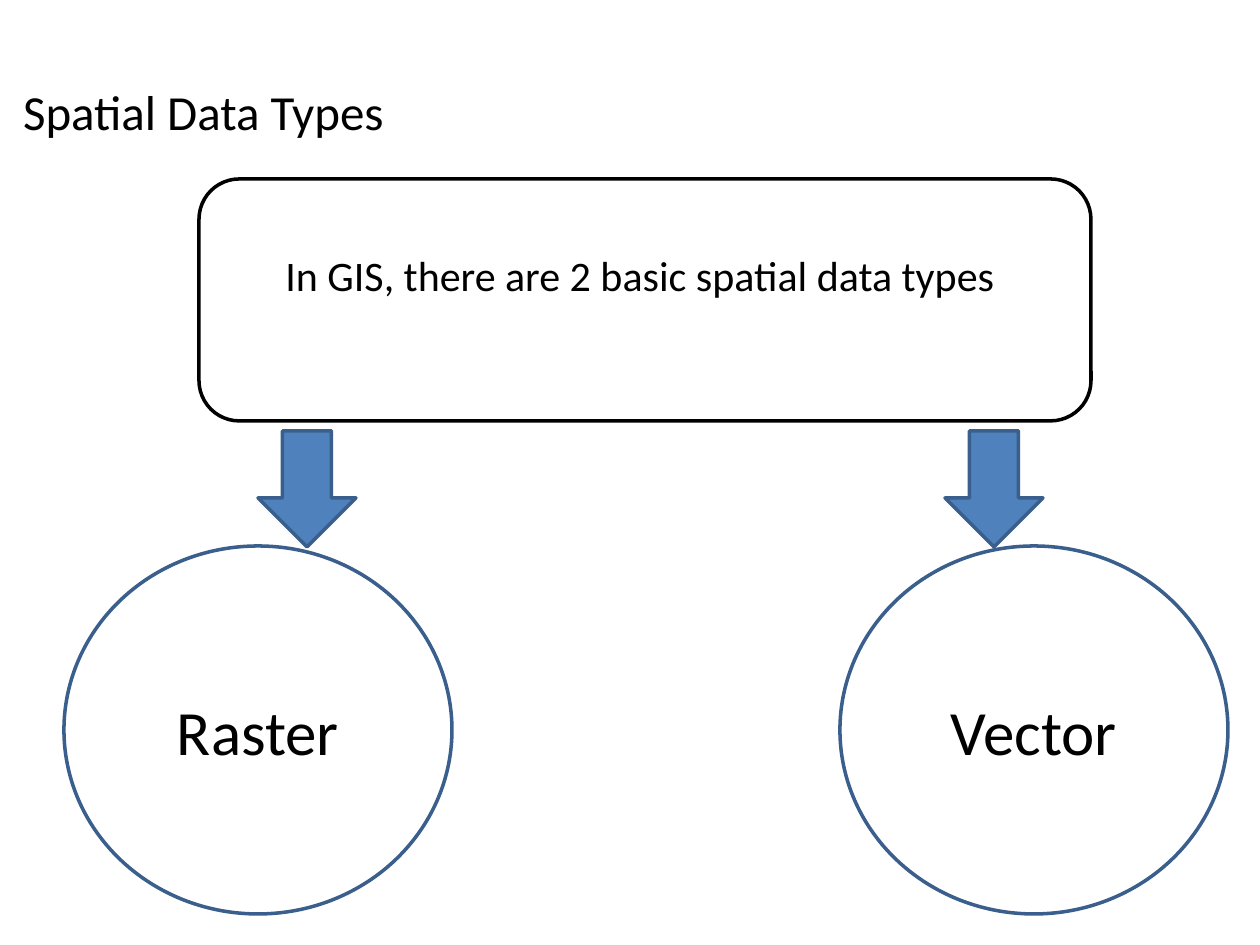
from dataclasses import dataclass

from pptx import Presentation
from pptx.dml.color import RGBColor
from pptx.enum.shapes import MSO_SHAPE
from pptx.enum.text import MSO_ANCHOR, PP_ALIGN
from pptx.util import Emu, Pt

ROUNDED = MSO_SHAPE.ROUNDED_RECTANGLE
OVAL = MSO_SHAPE.OVAL
DOWN_ARROW = MSO_SHAPE.DOWN_ARROW
LEFT, CENTER = PP_ALIGN.LEFT, PP_ALIGN.CENTER
TOP, MIDDLE = MSO_ANCHOR.TOP, MSO_ANCHOR.MIDDLE
EMU_PER_PX = 914400 / 126


@dataclass(frozen=True)
class Theme:
    font: str = "Calibri"
    ink: str = "000000"
    paper: str = "FFFFFF"
    arrow: str = "4F81BD"
    outline: str = "3A5F8C"
    title_size: int = 28
    statement_size: int = 24
    type_size: int = 36
    line_width: int = 2


def px(length):
    return Emu(round(length * EMU_PER_PX))


def write(frame, text, *, theme, size, align=CENTER, anchor=MIDDLE, right=13, bottom=6):
    frame.word_wrap = True
    frame.vertical_anchor = anchor
    frame.margin_left, frame.margin_right = px(13), px(right)
    frame.margin_top, frame.margin_bottom = px(6), px(bottom)
    paragraph = frame.paragraphs[0]
    paragraph.alignment = align
    run = paragraph.add_run()
    run.text = text
    run.font.name = theme.font
    run.font.size = Pt(size)
    run.font.color.rgb = RGBColor.from_string(theme.ink)


class SlideBuilder:
    """Draws themed elements on one slide, measured in px."""

    def __init__(self, slide, theme):
        self.slide = slide
        self.theme = theme

    def title(self, text, box):
        heading = self.slide.shapes.add_textbox(*map(px, box))
        write(heading.text_frame, text, theme=self.theme,
              size=self.theme.title_size, align=LEFT, anchor=TOP)

    def figure(self, kind, box, fill, line):
        figure = self.slide.shapes.add_shape(kind, *map(px, box))
        figure.shadow.inherit = False
        figure.fill.solid()
        figure.fill.fore_color.rgb = RGBColor.from_string(fill)
        figure.line.color.rgb = RGBColor.from_string(line)
        figure.line.width = Pt(self.theme.line_width)
        return figure

    def statement(self, text, box):
        panel = self.figure(ROUNDED, box, self.theme.paper, self.theme.ink)
        write(panel.text_frame, text, theme=self.theme,
              size=self.theme.statement_size, right=23, bottom=57)

    def data_type(self, name, box):
        circle = self.figure(OVAL, box, self.theme.paper, self.theme.outline)
        write(circle.text_frame, name, theme=self.theme, size=self.theme.type_size)

    def arrow(self, box):
        self.figure(DOWN_ARROW, box, self.theme.arrow, self.theme.outline)


def main():
    deck = Presentation()
    deck.slide_width, deck.slide_height = px(1260), px(945)
    slide = deck.slides.add_slide(deck.slide_layouts[6])
    builder = SlideBuilder(slide, Theme())

    builder.title("Spatial Data Types", (10, 75, 1239, 72))
    builder.statement("In GIS, there are 2 basic spatial data types", (199, 179, 892, 242))
    for name, circle_left, arrow_left in (("Raster", 64, 258), ("Vector", 840, 945)):
        builder.data_type(name, (circle_left, 546, 388, 368))
        builder.arrow((arrow_left, 431, 98, 116))

    deck.save("out.pptx")


if __name__ == "__main__":
    main()
